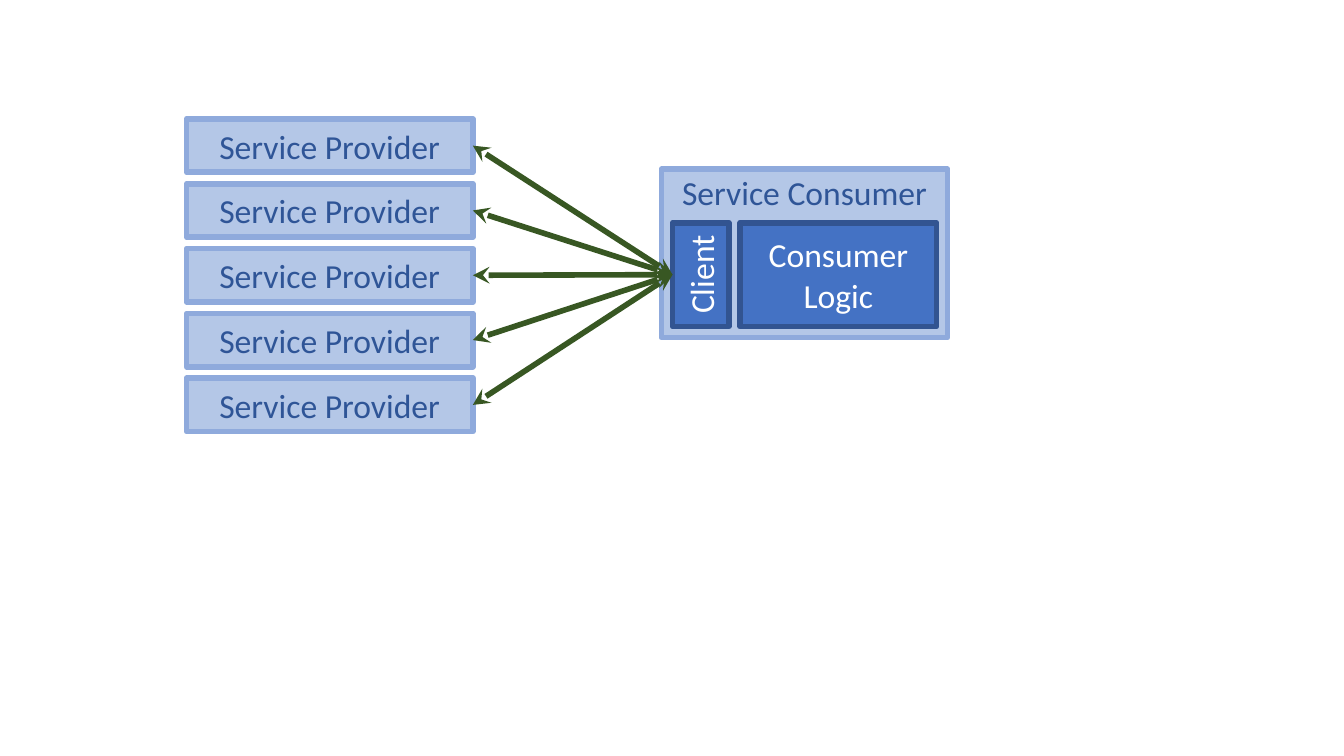
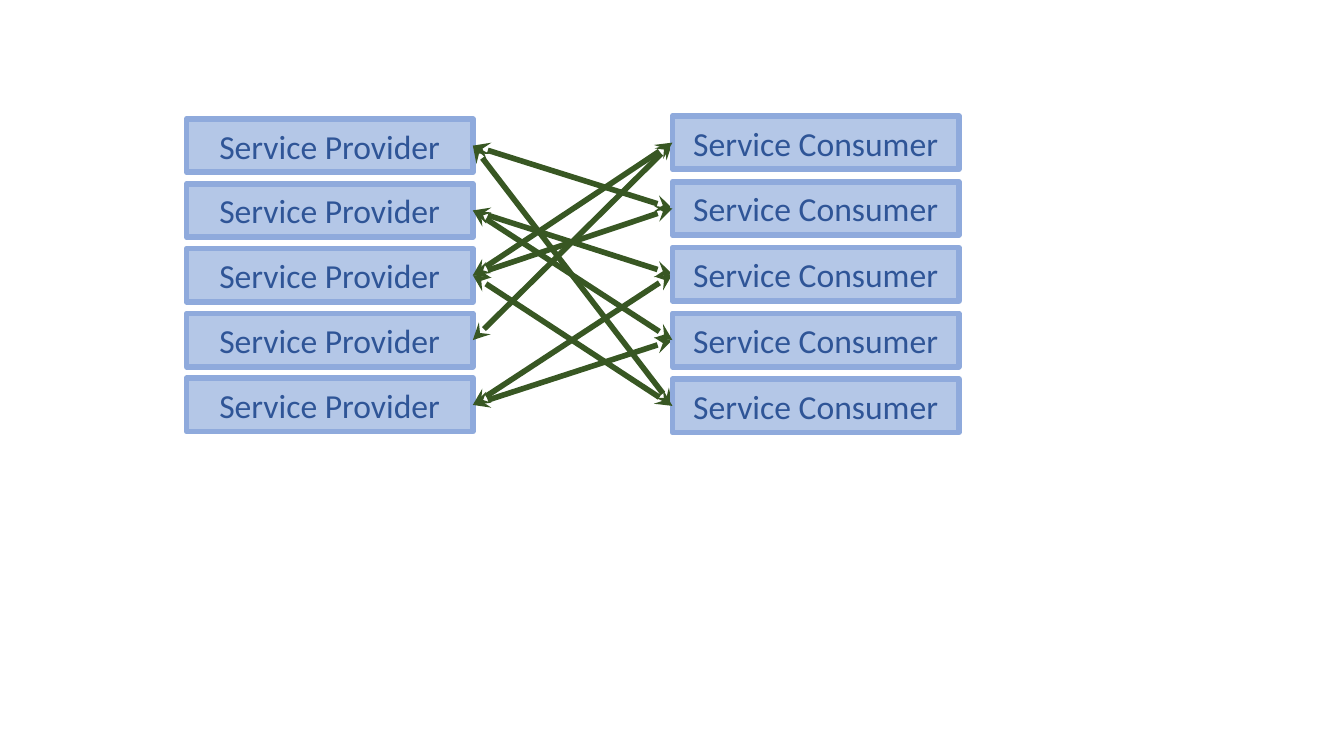
import pptx
import pptx.dml.color
import pptx.enum.shapes
import pptx.enum.text
import pptx.oxml.ns
import pptx.util
from lxml import etree

Inches = pptx.util.Inches
Pt = pptx.util.Pt
RGBColor = pptx.dml.color.RGBColor

COLORS = {
    "service_fill": "B4C7E7", "service_line": "8FAADC", "service_text": "2F5597",
    "part_fill": "4472C4", "part_line": "325491", "part_text": "FFFFFF",
    "arrow": "385723",
}
FONT, TEXT_SIZE, LINE_WIDTH = "Calibri", Pt(24), Pt(4)
ROWS = 5
BOX_WIDTH, BOX_HEIGHT = 2.84, 0.53
PROVIDER_LEFT, PROVIDER_TOP, PROVIDER_PITCH = 1.85, 1.18, 0.643
CONSUMER_LEFT, CONSUMER_TOP, CONSUMER_PITCH = 6.67, 1.15, 0.653
LEFT_SITE, RIGHT_SITE = 1, 3


def add_box(page, text, left, top, width=BOX_WIDTH, height=BOX_HEIGHT, style="service"):
    """Add a bordered rectangle with centred text, in inches."""
    box = page.shapes.add_shape(
        pptx.enum.shapes.MSO_SHAPE.RECTANGLE,
        Inches(left), Inches(top), Inches(width), Inches(height))
    box.shadow.inherit = False
    box.fill.solid()
    box.fill.fore_color.rgb = RGBColor.from_string(COLORS[style + "_fill"])
    box.line.color.rgb = RGBColor.from_string(COLORS[style + "_line"])
    box.line.width = LINE_WIDTH
    box.text_frame.text = text
    box.text_frame.word_wrap = True
    box.text_frame.vertical_anchor = pptx.enum.text.MSO_ANCHOR.MIDDLE
    for para in box.text_frame.paragraphs:
        para.alignment = pptx.enum.text.PP_ALIGN.CENTER
        for span in para.runs:
            span.font.name = FONT
            span.font.size = TEXT_SIZE
            span.font.color.rgb = RGBColor.from_string(COLORS[style + "_text"])
    return box


def add_link(page, provider, target):
    """Join a provider's right side to a target's left side, arrows at both ends."""
    link = page.shapes.add_connector(
        pptx.enum.shapes.MSO_CONNECTOR.STRAIGHT, 0, 0, 0, 0)
    link.begin_connect(provider, RIGHT_SITE)
    link.end_connect(target, LEFT_SITE)
    link.line.color.rgb = RGBColor.from_string(COLORS["arrow"])
    link.line.width = LINE_WIDTH
    outline = link.line._get_or_add_ln()
    for end in ("a:headEnd", "a:tailEnd"):
        etree.SubElement(outline, pptx.oxml.ns.qn(end), type="stealth")
    etree.SubElement(link.element.spPr, pptx.oxml.ns.qn("a:effectLst"))
    return link


deck = pptx.Presentation()
deck.slide_width, deck.slide_height = Inches(13.33), Inches(7.5)
pages = [deck.slides.add_slide(deck.slide_layouts[6]) for _ in range(2)]
single_page, mesh_page = pages

# Both slides share the column of providers
single_providers, mesh_providers = [
    [add_box(page, "Service Provider", PROVIDER_LEFT, PROVIDER_TOP + row * PROVIDER_PITCH)
     for row in range(ROWS)]
    for page in pages]

# Slide 1: every provider talks to the client inside one consumer
consumer = add_box(single_page, "Service Consumer", 6.56, 1.68, height=1.67)
consumer.text_frame.vertical_anchor = pptx.enum.text.MSO_ANCHOR.TOP
consumer.text_frame.margin_top = Inches(0.03)
client = add_box(single_page, "Client", 6.67, 2.21, 0.56, 1.03, "part")
client.element.txBody.bodyPr.set("vert", "vert270")
add_box(single_page, "Consumer\nLogic", 7.34, 2.21, 1.95, 1.03, "part")
for provider in single_providers:
    add_link(single_page, provider, client)

# Slide 2: providers and consumers are linked directly, as (provider, consumer) rows
mesh_consumers = [
    add_box(mesh_page, "Service Consumer", CONSUMER_LEFT, CONSUMER_TOP + row * CONSUMER_PITCH)
    for row in range(ROWS)]
links_behind = [(4, 2), (0, 4), (1, 2), (3, 0), (4, 3), (0, 1)]
links_in_front = [(2, 1), (1, 3), (2, 4), (2, 0)]
for start, end in links_behind + links_in_front:
    link = add_link(mesh_page, mesh_providers[start], mesh_consumers[end])
    if (start, end) in links_behind:
        mesh_consumers[0].element.addprevious(link.element)

deck.save("out.pptx")
